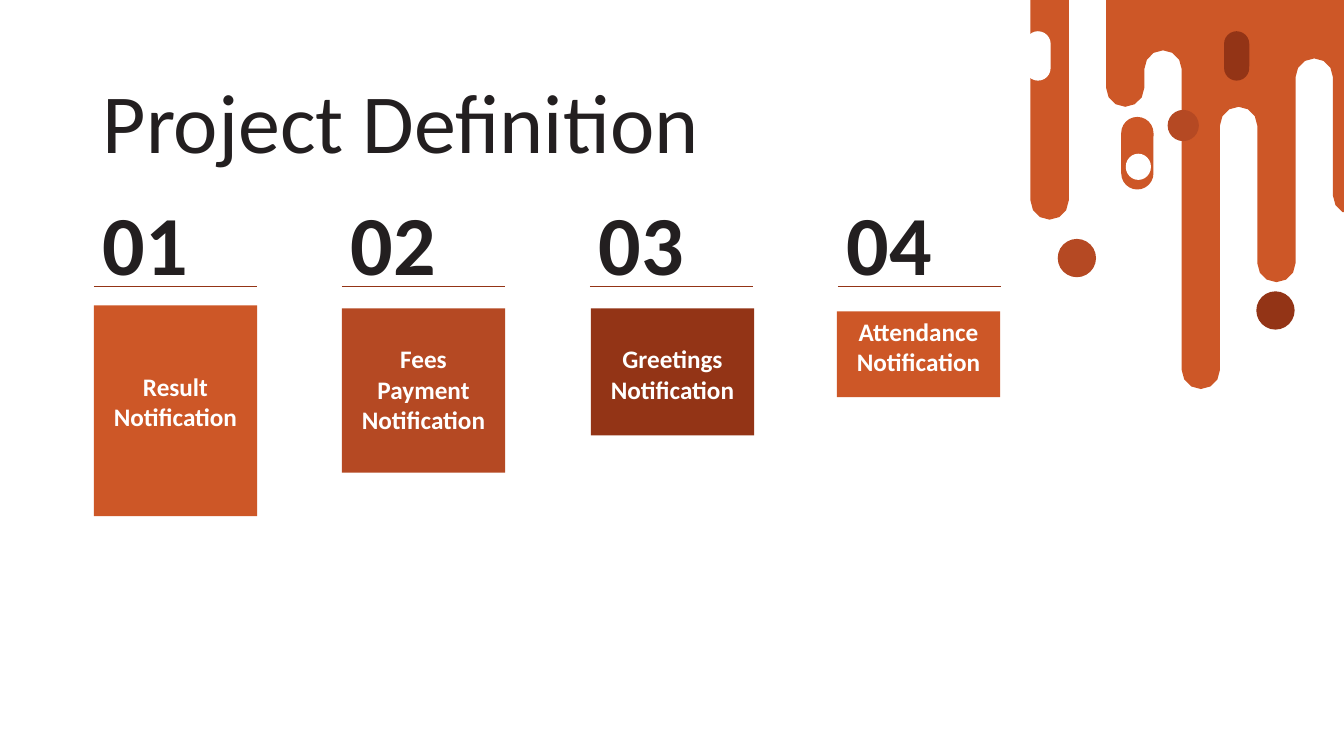
from math import cos, pi, sin

from lxml import etree
from pptx import Presentation
from pptx.dml.color import RGBColor
from pptx.enum.shapes import MSO_CONNECTOR, MSO_SHAPE
from pptx.enum.text import MSO_ANCHOR, MSO_AUTO_SIZE, PP_ALIGN
from pptx.oxml.ns import qn
from pptx.util import Inches, Pt

STRAIGHT = MSO_CONNECTOR.STRAIGHT
OVAL, PILL, RECT = MSO_SHAPE.OVAL, MSO_SHAPE.ROUNDED_RECTANGLE, MSO_SHAPE.RECTANGLE
TOP, MIDDLE = MSO_ANCHOR.TOP, MSO_ANCHOR.MIDDLE
LEFT, CENTER = PP_ALIGN.LEFT, PP_ALIGN.CENTER
GROW = MSO_AUTO_SIZE.SHAPE_TO_FIT_TEXT

THEME = {
    "font": "Calibri", "display": 60, "label": 18, "rule": 0.5,
    "ink": "231F20", "white": "FFFFFF",
    "orange": "CD5727", "rust": "B54923", "brown": "933416",
}

SLIDE_W, SLIDE_H = 13.33, 7.5
TITLE = "Project Definition"
CARDS = [
    ("01", "Result Notification", "orange", 0.93, 3.03, 2.09, 2),
    ("02", "Fees Payment Notification", "rust", 3.39, 3.06, 1.63, 1),
    ("03", "Greetings Notification", "brown", 5.86, 3.06, 1.26, 1),
    ("04", "Attendance Notification", "orange", 8.3, 3.09, 0.85, 0),
]
COLUMN_LEFT, COLUMN_STEP, CARD_W = 0.93, 2.46, 1.62
NUMBER_TOP, NUMBER_W, NUMBER_H = 1.84, 1.05, 1.11
RULE_Y, LINE_H, INSET = 2.84, 0.3, 0.05

DRIP_GROUPS = [
    (10.97, [(11.35, 1.06, 1), (11.72, 0.5, -1), (12.1, 3.86, 1), (12.47, 1.06, -1),
             (12.85, 2.8, 1), (13.22, 0.58, -1), (13.6, 2.13, 1)]),
    (10.22, [(10.6, 2.18, 1)]),
]
ARC_STEPS = 6
DROPS = [
    (OVAL, 10.49, 2.37, 0.38, 0.38, "rust"),
    (PILL, 12.46, 2.89, 0.38, 0.38, "brown"),
    (PILL, 10.92, 1.36, 0.72, 0.32, "orange"),
    (OVAL, 11.58, 1.09, 0.31, 0.31, "rust"),
    (PILL, 12.02, 0.43, 0.49, 0.25, "brown"),
    (PILL, 10.05, 0.43, 0.49, 0.25, "white"),
    (OVAL, 11.16, 1.53, 0.26, 0.25, "white"),
]


def color(name):
    return RGBColor.from_string(THEME[name])


def paint(sp, fill):
    sp.shadow.inherit = False
    sp.fill.solid()
    sp.fill.fore_color.rgb = color(fill)
    sp.line.fill.background()


def write(sp, text, size, ink, bold=False, align=LEFT, anchor=MIDDLE, wrap=True):
    tf = sp.text_frame
    tf.word_wrap = wrap
    tf.vertical_anchor = anchor
    p = tf.paragraphs[0]
    p.alignment = align
    r = p.add_run()
    r.text = text
    r.font.name = THEME["font"]
    r.font.size = Pt(THEME[size])
    r.font.bold = bold
    r.font.color.rgb = color(ink)
    return p


def add_shape(s, kind, x, y, w, h, fill):
    sp = s.shapes.add_shape(kind, Inches(x), Inches(y), Inches(w), Inches(h))
    paint(sp, fill)
    return sp


def add_drop(s, kind, *place):
    drop = add_shape(s, kind, *place)
    drop.rotation = 90
    if kind == PILL:
        drop.adjustments[0] = 0.5


def add_text_box(s, x, y, w, h):
    return s.shapes.add_textbox(Inches(x), Inches(y), Inches(w), Inches(h))


def drip_outline(left, turns):
    points = [(left, 0)]
    for right, tip, way in turns:
        radius = (right - left) / 2
        middle, base = left + radius, tip - way * radius
        for i in range(ARC_STEPS + 1):
            angle = pi * i / ARC_STEPS
            x = middle - radius * cos(angle)
            if x <= SLIDE_W:
                points.append((x, base + way * radius * sin(angle)))
        left = right
    if left > SLIDE_W:
        points.append((SLIDE_W, points[-1][1]))
    return points + [(min(left, SLIDE_W), 0)]


def add_drips(s):
    builder = None
    for left, turns in DRIP_GROUPS:
        points = [(Inches(x), Inches(y)) for x, y in drip_outline(left, turns)]
        if builder is None:
            builder = s.shapes.build_freeform(*points[0])
        else:
            builder.move_to(*points[0])
        builder.add_line_segments(points[1:], close=True)
    paint(builder.convert_to_shape(), "orange")


def add_rule(s, x):
    rule = s.shapes.add_connector(
        STRAIGHT, Inches(x), Inches(RULE_Y), Inches(x + CARD_W), Inches(RULE_Y))
    rule.line.color.rgb = color("brown")
    rule.line.width = Pt(THEME["rule"])
    etree.SubElement(rule._element.spPr, qn("a:effectLst"))


def add_card(s, index, number, label, fill, left, top, height, skipped_lines):
    x = COLUMN_LEFT + index * COLUMN_STEP
    add_rule(s, x)
    card = add_shape(s, RECT, left, top, CARD_W, height, fill)
    card.text_frame.margin_top = Inches(INSET + skipped_lines * LINE_H)
    write(card, label, "label", "white", True, CENTER, TOP)
    box = add_text_box(s, x - 0.01, NUMBER_TOP, NUMBER_W, NUMBER_H)
    write(box, number, "display", "ink", True, wrap=False)
    box.text_frame.auto_size = GROW


def main():
    prs = Presentation()
    prs.slide_width, prs.slide_height = Inches(SLIDE_W), Inches(SLIDE_H)
    s = prs.slides.add_slide(prs.slide_layouts[6])
    add_drips(s)
    for drop in DROPS:
        add_drop(s, *drop)
    title = add_text_box(s, 0.92, 0.53, 9.5, 1.45)
    write(title, TITLE, "display", "ink").line_spacing = 0.9
    for index, card in enumerate(CARDS):
        add_card(s, index, *card)
    prs.save("out.pptx")


if __name__ == "__main__":
    main()
